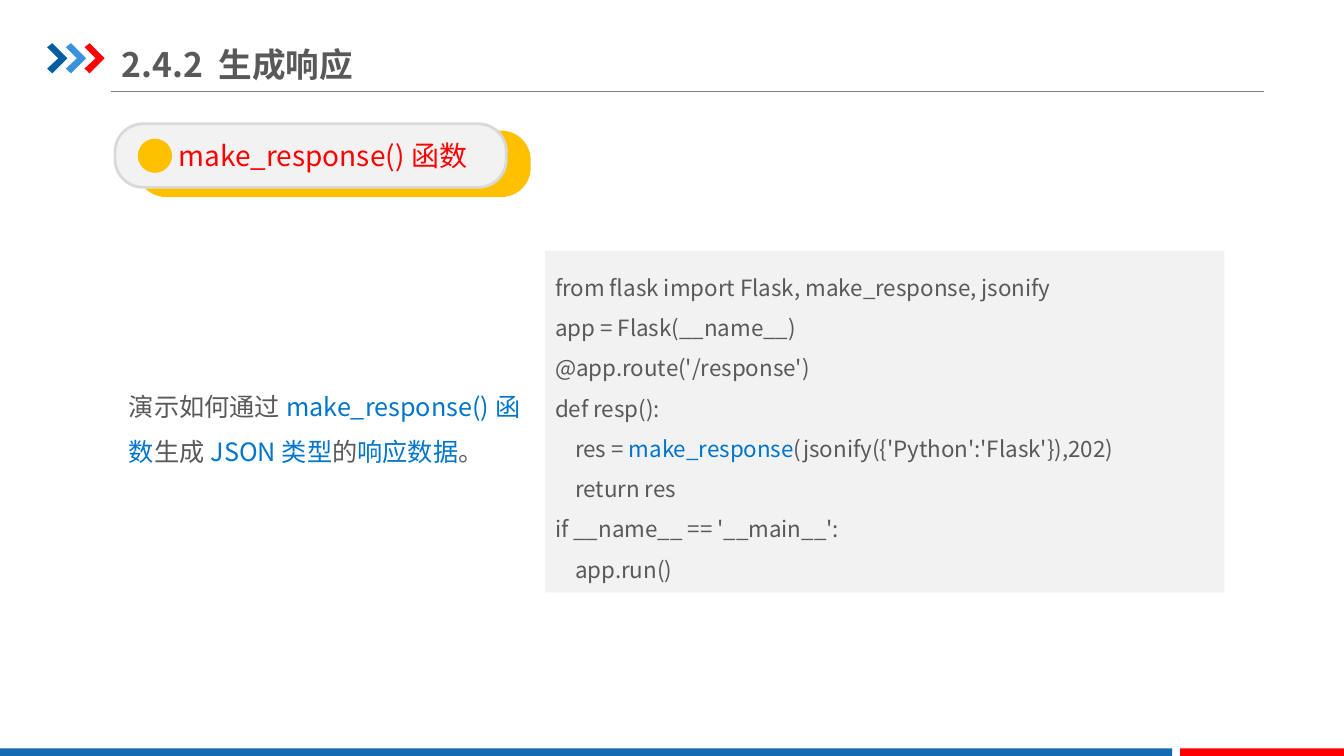
from dataclasses import dataclass

import pptx
import pptx.dml.color
import pptx.enum.shapes
import pptx.enum.text
import pptx.oxml.ns
import pptx.util
from lxml import etree
from pptx.util import Cm

SHAPE = pptx.enum.shapes.MSO_SHAPE
ALIGN = pptx.enum.text.PP_ALIGN
ANCHOR = pptx.enum.text.MSO_ANCHOR
qn = pptx.oxml.ns.qn


@dataclass(frozen=True)
class Theme:
    font: str = "Noto Sans CJK SC"
    text: str = "595959"
    accent: str = "0075CC"
    red: str = "FF0000"
    amber: str = "FFC000"
    panel: str = "F2F2F2"
    panel_edge: str = "D9D9D9"
    rule: str = "808080"
    bar: str = "1369B2"
    chevrons: tuple = ("005DA2", "3992DB", "FF0000")
    title_size: int = 24
    label_size: int = 20
    body_size: int = 18
    code_size: int = 16


THEME = Theme()


def rgb(color):
    return pptx.dml.color.RGBColor.from_string(color)


def paint(shape, fill, edge=None):
    shape.shadow.inherit = False
    shape.fill.solid()
    shape.fill.fore_color.rgb = rgb(fill)
    if edge:
        shape.line.color.rgb = rgb(edge)
        shape.line.width = pptx.util.Pt(2)
    else:
        shape.line.fill.background()


def add_block(slide, kind, left, top, width, height, fill, edge=None):
    block = slide.shapes.add_shape(kind, Cm(left), Cm(top), Cm(width), Cm(height))
    paint(block, fill, edge)
    return block


def add_pill(slide, left, top, fill, edge):
    pill = add_block(slide, SHAPE.ROUNDED_RECTANGLE, left, top, 9.86, 1.6, fill, edge)
    pill.adjustments[0] = 0.44
    return pill


def add_chevron(slide, left, top, color):
    outline = [(0, 0.1), (0.13, 0), (0.51, 0.38), (0.13, 0.76), (0, 0.64), (0.28, 0.38)]
    corners = [(Cm(left + x), Cm(top + y)) for x, y in outline]
    builder = slide.shapes.build_freeform(*corners[0])
    builder.add_line_segments(corners[1:], close=True)
    paint(builder.convert_to_shape(), color)


def add_rule(slide, left, right, y):
    rule = slide.shapes.add_connector(
        pptx.enum.shapes.MSO_CONNECTOR.STRAIGHT, Cm(left), Cm(y), Cm(right), Cm(y))
    rule.line.color.rgb = rgb(THEME.rule)
    rule.line.width = pptx.util.Pt(0.75)
    properties = rule._element.find(qn("p:spPr"))
    etree.SubElement(properties, qn("a:effectLst"))


def add_text_box(slide, left, top, width, height):
    return slide.shapes.add_textbox(Cm(left), Cm(top), Cm(width), Cm(height))


def write(shape, lines, size, bold=False, align=ALIGN.LEFT, spacing=None,
          anchor=ANCHOR.MIDDLE):
    """Fill a shape with lines, each a list of (text, color) runs."""
    frame = shape.text_frame
    frame.word_wrap = True
    frame.vertical_anchor = anchor
    for number, line in enumerate(lines):
        paragraph = frame.add_paragraph() if number else frame.paragraphs[0]
        paragraph.alignment = align
        paragraph.line_spacing = spacing
        for text, color in line:
            run = paragraph.add_run()
            run.text = text
            run.font.size = pptx.util.Pt(size)
            run.font.bold = bold
            run.font.color.rgb = rgb(color)
            run.font.name = THEME.font
            etree.SubElement(run.font._element, qn("a:ea"), typeface=THEME.font)
    return frame


def add_header(slide):
    add_rule(slide, 2.79, 31.85, 2.31)
    for index, color in enumerate(THEME.chevrons):
        add_chevron(slide, 1.19 + 0.47 * index, 1.09, color)
    title = add_text_box(slide, 3.07, 0.91, 12.09, 1.4)
    frame = write(title, [[("2.4.2 生成响应", THEME.text)]], THEME.title_size, bold=True)
    frame.margin_left = frame.margin_right = 0
    frame.margin_top = frame.margin_bottom = Cm(0.18)


def add_footer(slide):
    for left, width, color in [(0, 29.54, THEME.bar), (29.74, 4.13, THEME.red)]:
        add_block(slide, SHAPE.RECTANGLE, left, 18.86, width, 0.22, color)


def add_topic(slide):
    add_pill(slide, 3.48, 3.33, THEME.amber, THEME.amber)
    label = add_pill(slide, 2.9, 3.12, THEME.panel, THEME.panel_edge)
    frame = write(label, [[("make_response()函数", THEME.red)]],
                  THEME.label_size, align=ALIGN.CENTER)
    frame.margin_left = Cm(0.87)
    add_block(slide, SHAPE.OVAL, 3.51, 3.53, 0.79, 0.79, THEME.amber, THEME.amber)


def add_explanation(slide):
    sentence = [
        ("演示如何通过", THEME.text),
        ("make_response()函数", THEME.accent),
        ("生成", THEME.text),
        ("JSON类型", THEME.accent),
        ("的", THEME.text),
        ("响应数据", THEME.accent),
        ("。", THEME.text),
    ]
    explanation = add_text_box(slide, 3, 9.35, 10.41, 2.57)
    write(explanation, [sentence], THEME.body_size, spacing=1.5, anchor=ANCHOR.TOP)


def add_code(slide):
    code = [
        [("from flask import Flask, make_response, jsonify", THEME.text)],
        [("app = Flask(__name__)", THEME.text)],
        [("@app.route('/response')", THEME.text)],
        [("def resp():", THEME.text)],
        [("    res = ", THEME.text), ("make_response", THEME.accent),
         ("(jsonify({'Python':'Flask'}),202)", THEME.text)],
        [("    return res", THEME.text)],
        [("if __name__ == '__main__':", THEME.text)],
        [("    app.run()", THEME.text)],
    ]
    panel = add_block(slide, SHAPE.RECTANGLE, 13.74, 6.32, 17.12, 8.61, THEME.panel)
    write(panel, code, THEME.code_size, spacing=1.5)


def main():
    deck = pptx.Presentation()
    deck.slide_width, deck.slide_height = Cm(33.87), Cm(19.05)
    slide = deck.slides.add_slide(deck.slide_layouts[6])

    # Page frame
    add_header(slide)
    add_footer(slide)

    # Lesson content
    add_topic(slide)
    add_explanation(slide)
    add_code(slide)

    deck.save("out.pptx")


if __name__ == "__main__":
    main()
